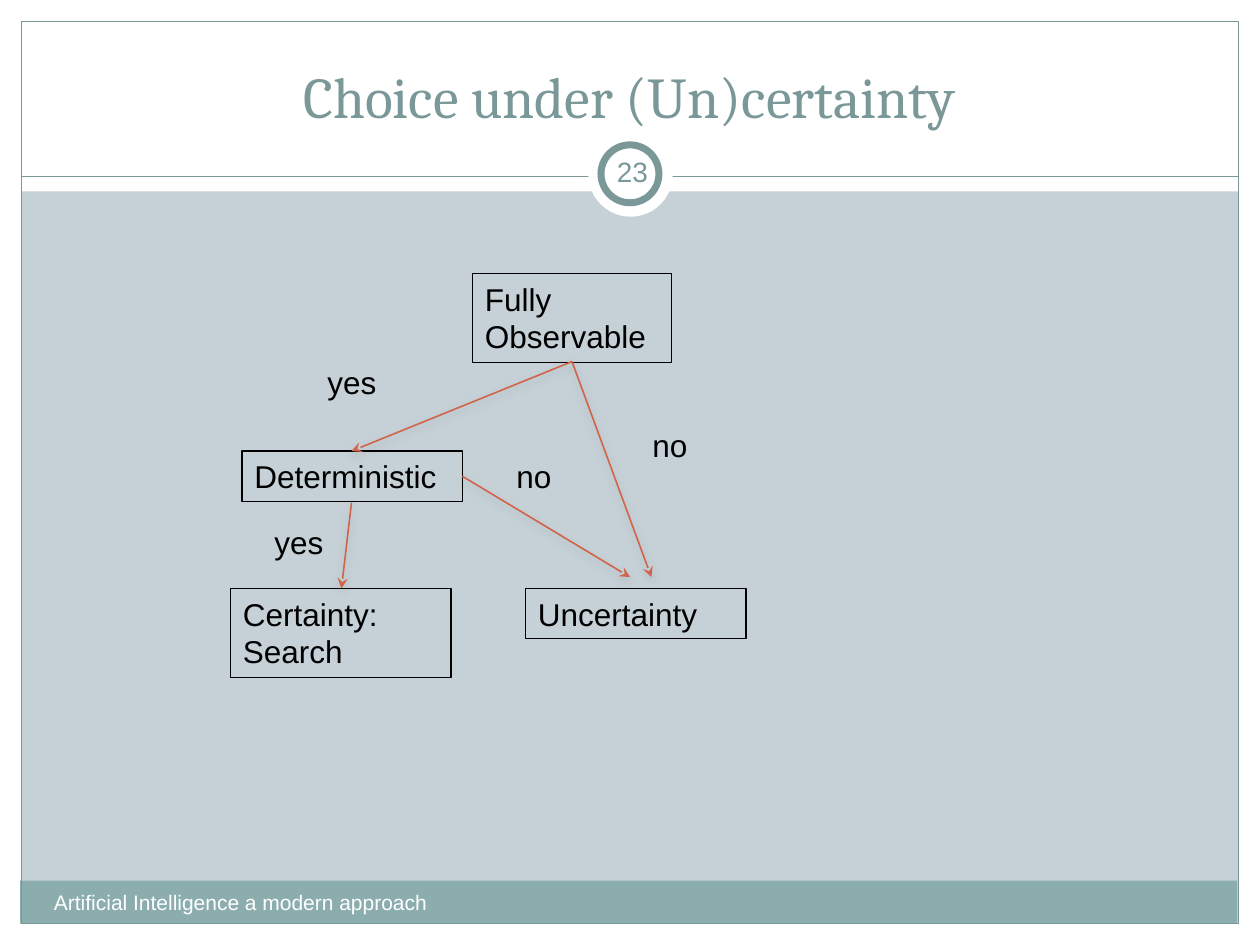
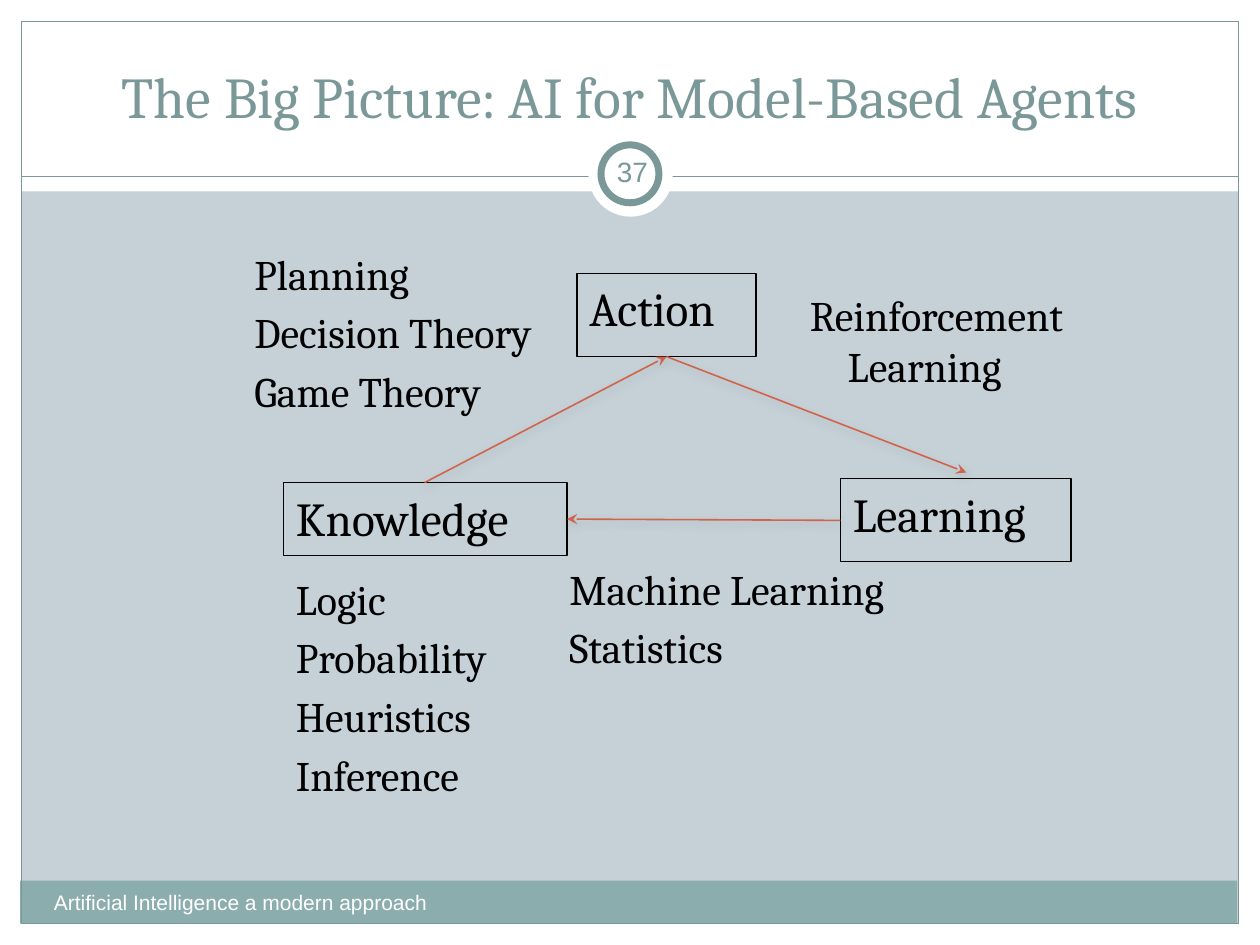
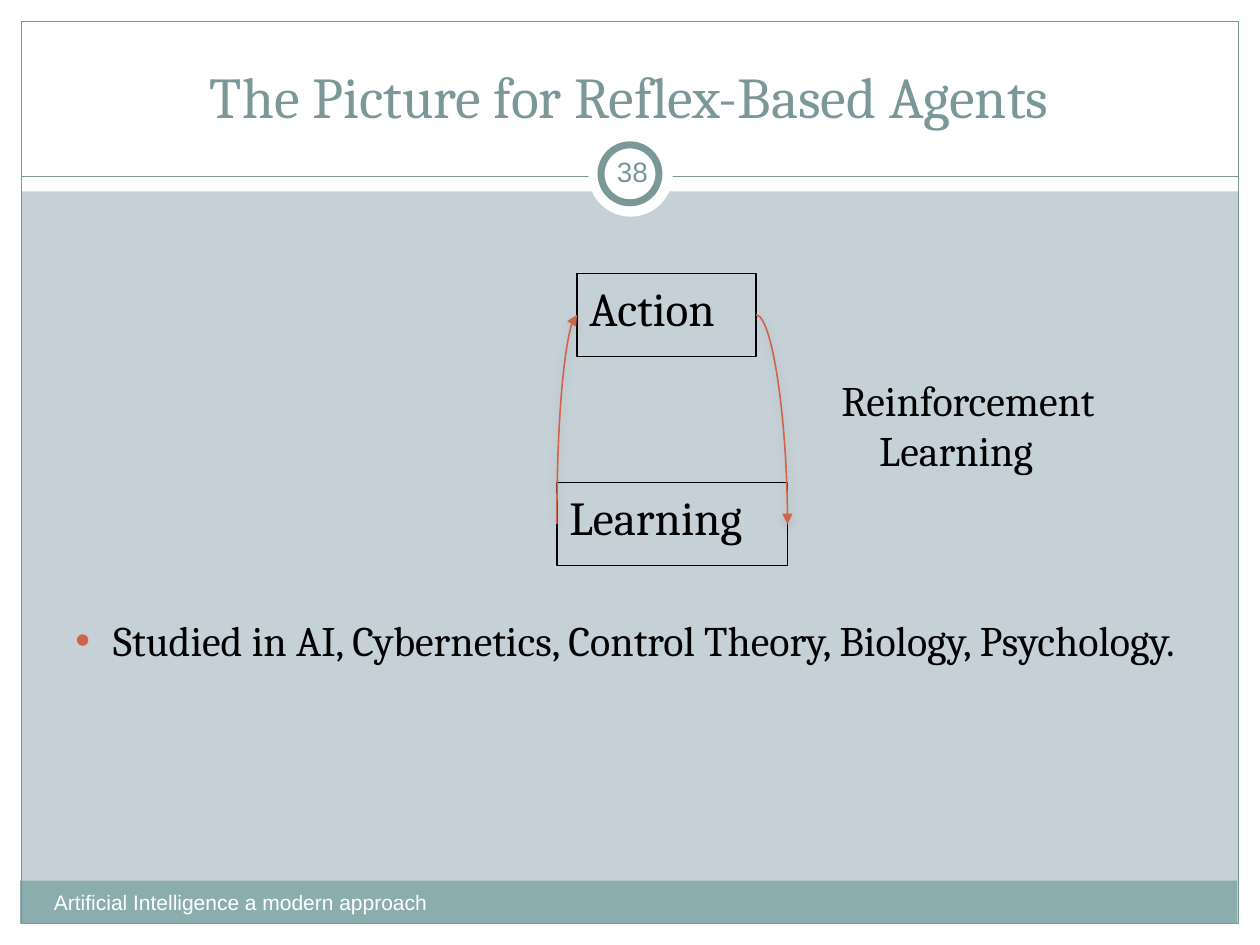
from lxml.etree import SubElement
from pptx import Presentation
from pptx.dml.color import RGBColor
from pptx.enum.shapes import MSO_CONNECTOR as Link, MSO_SHAPE as Shape
from pptx.enum.text import MSO_ANCHOR as Anchor, PP_ALIGN as Align
from pptx.oxml.ns import qn
from pptx.util import Inches, Pt

COLORS = {
    "ground": "C5D1D7",
    "white": "FFFFFF",
    "band": "8CADAE",
    "slate": "7B9899",
    "rust": "D16349",
    "ink": "000000",
    "shade": "808080",
}
FOOTER = "Artificial Intelligence a modern approach"
EDGE = 0.17
INDENT = 0.3

TITLE = {"name": "Cambria", "size": Pt(33), "color": "slate"}
FOOT = {"name": "Arial", "size": Pt(12), "color": "white"}
NUMBER = {"name": "Arial", "size": Pt(16), "color": "slate"}
CHOICE = {"name": "Arial", "size": Pt(18), "color": "ink"}
TOPIC = {"name": "Cambria", "size": Pt(27), "color": "ink"}
FIELD = {"name": "Cambria", "size": Pt(24), "color": "ink"}


def rgb(key):
    return RGBColor.from_string(COLORS[key])


def inches(values):
    return [Inches(value) for value in values]


def set_format(target, values):
    for key, value in values.items():
        if key == "color":
            target.color.rgb = rgb(value)
        else:
            setattr(target, key, value)


def add_bullet(paragraph):
    props = paragraph._p.get_or_add_pPr()
    tint = SubElement(props, qn("a:buClr"))
    SubElement(tint, qn("a:srgbClr"), val=COLORS["rust"])
    SubElement(props, qn("a:buFont"), typeface="Arial")
    SubElement(props, qn("a:buChar"), char="•")


def write(holder, lines, style, align=Align.LEFT, anchor=Anchor.TOP,
          side=0.1, hanging=False, bullet=False):
    frame = holder.text_frame
    set_format(frame, {
        "word_wrap": True, "vertical_anchor": anchor,
        "margin_left": Inches(side), "margin_right": Inches(side),
        "margin_top": Inches(0.05), "margin_bottom": Inches(0.05),
    })
    for index, line in enumerate(lines):
        paragraph = frame.add_paragraph() if index else frame.paragraphs[0]
        paragraph.alignment = align
        paragraph.space_before = Pt(4.8 if index else 0)
        if hanging:
            props = paragraph._p.get_or_add_pPr()
            props.set("marL", str(Inches(INDENT)))
            props.set("indent", str(Inches(-INDENT)))
        if bullet:
            add_bullet(paragraph)
        run = paragraph.add_run()
        run.text = line
        set_format(run.font, style)


def add_panel(slide, at, fill=None, line=None, width=0.75, kind=Shape.RECTANGLE):
    panel = slide.shapes.add_shape(kind, *inches(at))
    panel.shadow.inherit = False
    if fill:
        panel.fill.solid()
        panel.fill.fore_color.rgb = rgb(fill)
    else:
        panel.fill.background()
    if line:
        set_format(panel.line, {"color": line, "width": Pt(width)})
    else:
        panel.line.fill.background()
    return panel


def add_node(slide, at, text, style=CHOICE):
    write(add_panel(slide, at, line="ink"), [text], style, hanging=style is TOPIC)


def add_label(slide, at, lines, style, **options):
    write(slide.shapes.add_textbox(*inches(at)), lines, style, **options)


def add_fields(slide, at, *lines, bullet=False):
    add_label(slide, at, lines, FIELD, hanging=True, bullet=bullet)


def add_link(slide, start, end, color, width, kind=Link.STRAIGHT):
    link = slide.shapes.add_connector(kind, *inches(start + end))
    set_format(link.line, {"color": color, "width": Pt(width)})
    effects = SubElement(link._element.spPr, qn("a:effectLst"))
    return link, effects


def add_arrow(slide, start, end, head="stealth", where="tailEnd", kind=Link.STRAIGHT):
    arrow, effects = add_link(slide, start, end, "rust", 0.9, kind)
    SubElement(arrow.line._get_or_add_ln(), qn(f"a:{where}"), type=head)
    shadow = SubElement(effects, qn("a:outerShdw"), blurRad=str(Pt(5)),
                        dist=str(Pt(2)), dir="5400000", rotWithShape="0")
    shade = SubElement(shadow, qn("a:srgbClr"), val=COLORS["shade"])
    SubElement(shade, qn("a:alpha"), val="35000")
    return arrow


def add_bend(slide, start, end, where):
    bend = add_arrow(slide, start, end, "triangle", where, Link.CURVE)
    bend._element.spPr.find(qn("a:prstGeom")).set("prst", "curvedConnector2")


def draw_frame(slide):
    inner = 10 - 2 * EDGE
    for at in ((0, 7.33, 10, EDGE), (0, 0, 10, 1.52),
               (0, 0, EDGE, 7.5), (10 - EDGE, 0, EDGE, 7.5)):
        add_panel(slide, at, "white")
    add_panel(slide, (0.16, 6.99, inner, 0.34), "band")
    add_panel(slide, (EDGE, EDGE, inner, 7.5 - 2 * EDGE), line="slate")
    add_link(slide, (EDGE, 1.4), (10 - EDGE, 1.4), "slate", 0.75)
    add_panel(slide, (4.67, 1.05, 0.67, 0.67), "white", kind=Shape.OVAL)
    add_panel(slide, (4.77, 1.15, 0.46, 0.46), "white", "slate", 4, Shape.OVAL)
    add_label(slide, (0.33, 7.01, 3.92, 0.4), [FOOTER], FOOT)


def share_frame(layout, slide):
    for placeholder in list(layout.placeholders)[1:]:
        placeholder._element.getparent().remove(placeholder._element)
    layout.background.fill.solid()
    layout.background.fill.fore_color.rgb = rgb("ground")
    draw_frame(slide)
    for part in list(slide.shapes)[1:]:
        layout.shapes._spTree.append(part._element)


def head_slide(slide, title, number):
    heading = slide.shapes.title
    left, top, width, height = inches((0.33, 0.25, 9.33, 0.83))
    set_format(heading, {"left": left, "top": top, "width": width, "height": height})
    write(heading, [title], TITLE, Align.CENTER, Anchor.BOTTOM)
    add_label(slide, (4.77, 1.12, 0.5, 0.48), [str(number)], NUMBER,
              align=Align.CENTER, anchor=Anchor.MIDDLE, side=0.05)


def build_choice(slide):
    head_slide(slide, "Choice under (Un)certainty", 23)
    add_node(slide, (3.75, 2.17, 1.58, 0.71), "Fully Observable")
    add_node(slide, (1.92, 3.58, 1.75, 0.4), "Deterministic")
    add_node(slide, (1.83, 4.67, 1.75, 0.71), "Certainty: Search")
    add_node(slide, (4.17, 4.67, 1.75, 0.4), "Uncertainty")
    observable = (4.54, 2.87)
    add_arrow(slide, observable, (2.79, 3.58))
    add_arrow(slide, (2.79, 3.99), (2.71, 4.67))
    add_arrow(slide, (3.67, 3.78), (5, 4.58))
    add_arrow(slide, observable, (5.17, 4.58))
    for left, top, width, answer in ((5.08, 3.33, 0.58, "no"), (2.5, 2.83, 0.92, "yes"),
                                     (2.08, 4.1, 0.92, "yes"), (4, 3.58, 0.58, "no")):
        add_label(slide, (left, top, width, 0.4), [answer], CHOICE)


def build_model_agents(slide):
    head_slide(slide, "The Big Picture: AI for Model-Based Agents", 37)
    add_node(slide, (4.58, 2.17, 1.42, 0.66), "Action", TOPIC)
    add_node(slide, (6.67, 3.8, 1.83, 0.66), "Learning", TOPIC)
    add_node(slide, (2.25, 3.83, 2.25, 0.58), "Knowledge", TOPIC)
    action = (5.29, 2.83)
    add_arrow(slide, (3.37, 3.83), action)
    add_arrow(slide, action, (7.67, 3.75))
    add_arrow(slide, (6.67, 4.13), (4.5, 4.12))
    add_fields(slide, (2.25, 4.5, 1.92, 2), "Logic", "Probability", "Heuristics", "Inference")
    add_fields(slide, (1.92, 1.92, 2.83, 2), "Planning", "Decision Theory", "Game Theory")
    add_fields(slide, (6.33, 2.25, 2.83, 1.17), "Reinforcement Learning")
    add_fields(slide, (4.42, 4.42, 3.25, 1.42), "Machine Learning", "Statistics")


def build_reflex_agents(slide):
    head_slide(slide, "The Picture for Reflex-Based Agents", 38)
    add_node(slide, (4.58, 2.17, 1.42, 0.66), "Action", TOPIC)
    add_node(slide, (4.42, 3.83, 1.83, 0.66), "Learning", TOPIC)
    add_fields(slide, (6.58, 2.92, 2.83, 1.17), "Reinforcement Learning")
    add_bend(slide, (4.58, 2.5), (4.42, 4.16), "headEnd")
    add_bend(slide, (6, 2.5), (6.25, 4.16), "tailEnd")
    add_fields(slide, (0.5, 4.83, 9.17, 1.17),
               "Studied in AI, Cybernetics, Control Theory, Biology, Psychology.", bullet=True)


def main():
    deck = Presentation()
    deck.slide_width, deck.slide_height = inches((10, 7.5))
    layout = deck.slide_layouts[5]
    builders = (build_choice, build_model_agents, build_reflex_agents)
    slides = [deck.slides.add_slide(layout) for _ in builders]
    share_frame(layout, slides[0])
    for build, slide in zip(builders, slides):
        build(slide)
    deck.save("out.pptx")


if __name__ == "__main__":
    main()
